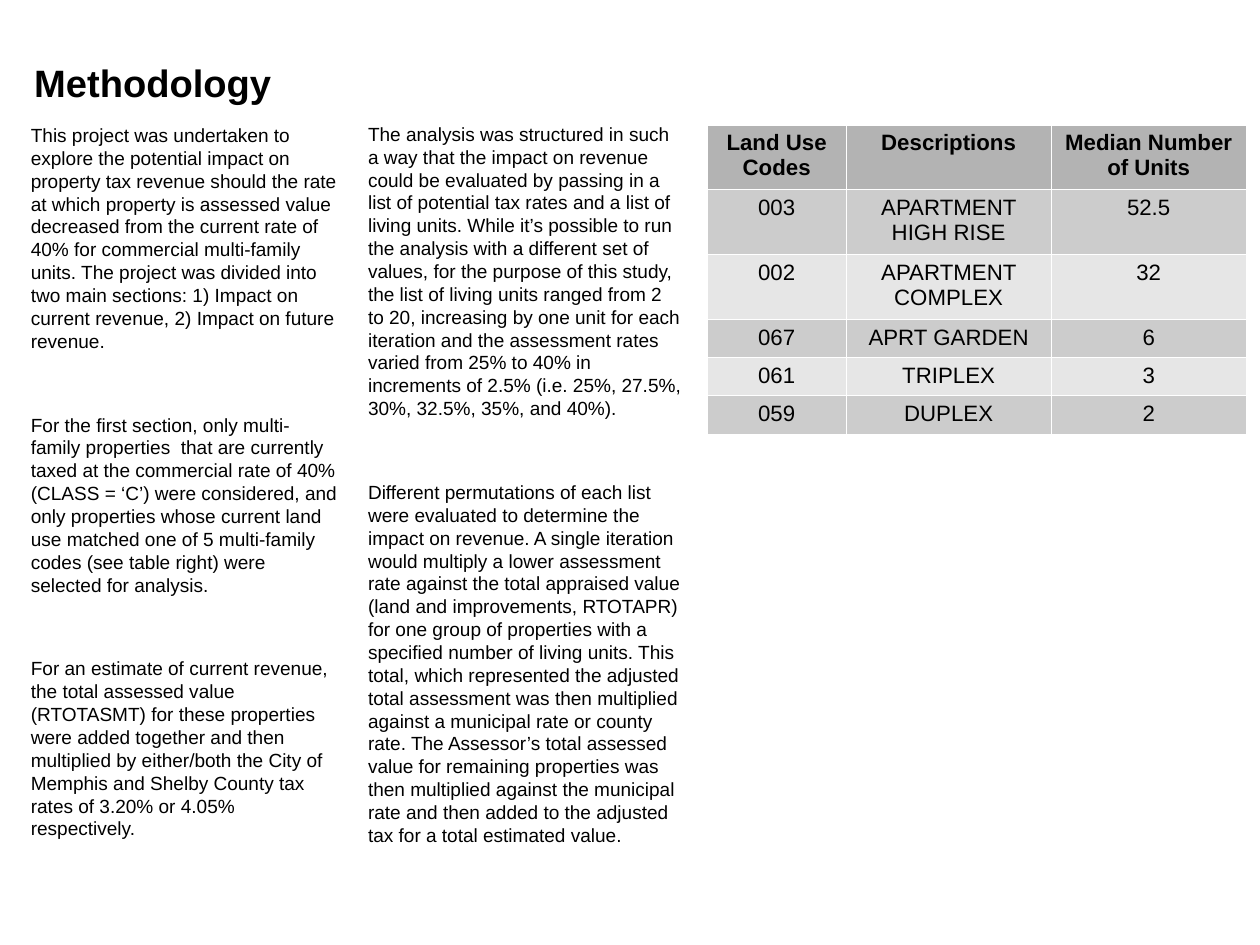
from lxml.etree import SubElement
from pptx import Presentation
from pptx.dml.color import RGBColor
from pptx.enum.text import MSO_ANCHOR, PP_ALIGN
from pptx.oxml.ns import qn
from pptx.util import Cm, Inches, Pt

THEME = {
    "font": "Arial", "text": "000000", "border": "FFFFFF",
    "header": "B3B3B3", "bands": ("CCCCCC", "E6E6E6"),
    "title_size": 24, "body_size": 12, "table_size": 14,
    "line_pitch": 14.4, "paragraph_gap": 38.4, "border_width": 0.06,
}

SLIDE_SIZE = (Cm(28), Cm(21))

TITLE = "Methodology"
TITLE_BOX = (0.3, 0.47, 2.13, 0.5)

COLUMNS = [
    ((0.27, 1.08, 2.7, 5.79), [
        "This project was undertaken to explore the potential impact on property tax revenue "
        "should the rate at which property is assessed value decreased from the current rate of "
        "40% for commercial multi-family units. The project was divided into two main sections: "
        "1) Impact on current revenue, 2) Impact on future revenue.",
        "For the first section, only multi-family properties  that are currently taxed at the "
        "commercial rate of 40% (CLASS = ‘C’) were considered, and only properties whose current "
        "land use matched one of 5 multi-family codes (see table right) were selected for analysis.",
        "For an estimate of current revenue, the total assessed value (RTOTASMT) for these "
        "properties were added together and then multiplied by either/both the City of Memphis "
        "and Shelby County tax rates of 3.20% or 4.05% respectively.",
    ]),
    ((3.22, 1.07, 2.75, 5.79), [
        "The analysis was structured in such a way that the impact on revenue could be evaluated "
        "by passing in a list of potential tax rates and a list of living units. While it’s "
        "possible to run the analysis with a different set of values, for the purpose of this "
        "study, the list of living units ranged from 2 to 20, increasing by one unit for each "
        "iteration and the assessment rates varied from 25% to 40% in increments of 2.5% "
        "(i.e. 25%, 27.5%, 30%, 32.5%, 35%, and 40%).",
        "Different permutations of each list were evaluated to determine the impact on revenue. "
        "A single iteration would multiply a lower assessment rate against the total appraised "
        "value (land and improvements, RTOTAPR) for one group of properties with a specified "
        "number of living units. This total, which represented the adjusted total assessment was "
        "then multiplied against a municipal rate or county rate. The Assessor’s total assessed "
        "value for remaining properties was then multiplied against the municipal rate and then "
        "added to the adjusted tax for a total estimated value.",
    ]),
]

LAND_USE = [
    ("Land Use Codes", "Descriptions", "Median Number of Units"),
    ("003", "APARTMENT HIGH RISE", "52.5"),
    ("002", "APARTMENT COMPLEX", "32"),
    ("067", "APRT GARDEN", "6"),
    ("061", "TRIPLEX", "3"),
    ("059", "DUPLEX", "2"),
]
TABLE_AT = (6.19, 1.09)
COL_WIDTHS = (1.21, 1.8, 1.7)
ROW_HEIGHTS = (0.52,) * 3 + (0.31,) * 3


def write(p, text, size, bold=False, **paragraph_format):
    for name, value in paragraph_format.items():
        setattr(p, name, value)
    r = p.add_run()
    r.text = text
    for name, value in {"name": THEME["font"], "size": Pt(size), "bold": bold}.items():
        setattr(r.font, name, value)
    r.font.color.rgb = RGBColor.from_string(THEME["text"])


def add_text(s, box, texts, size, anchor=MSO_ANCHOR.TOP, bold=False, **paragraph_format):
    tf = s.shapes.add_textbox(*map(Inches, box)).text_frame
    frame_format = {"word_wrap": True, "vertical_anchor": anchor, "margin_left": 0,
                    "margin_top": 0, "margin_right": 0, "margin_bottom": 0}
    for name, value in frame_format.items():
        setattr(tf, name, value)
    for i, text in enumerate(texts):
        p = tf.add_paragraph() if i else tf.paragraphs[0]
        write(p, text, size, bold, **paragraph_format)


def add_borders(cell):
    tc_pr = cell._tc.get_or_add_tcPr()
    for side in ("a:lnL", "a:lnR", "a:lnT", "a:lnB"):
        ln = SubElement(tc_pr, qn(side), w=str(Pt(THEME["border_width"])))
        fill = SubElement(ln, qn("a:solidFill"))
        SubElement(fill, qn("a:srgbClr"), val=THEME["border"])


def add_land_use_table(s):
    size = (sum(COL_WIDTHS), sum(ROW_HEIGHTS))
    table = s.shapes.add_table(len(LAND_USE), len(COL_WIDTHS),
                               *map(Inches, TABLE_AT + size)).table
    for column, width in zip(table.columns, COL_WIDTHS):
        column.width = Inches(width)
    for i, (row, height, values) in enumerate(zip(table.rows, ROW_HEIGHTS, LAND_USE)):
        row.height = Inches(height)
        color = THEME["bands"][(i - 1) % 2] if i else THEME["header"]
        for cell, value in zip(row.cells, values):
            add_borders(cell)
            cell.fill.solid()
            cell.fill.fore_color.rgb = RGBColor.from_string(color)
            write(cell.text_frame.paragraphs[0], value, THEME["table_size"],
                  bold=i == 0, alignment=PP_ALIGN.CENTER)


def main():
    prs = Presentation()
    prs.slide_width, prs.slide_height = SLIDE_SIZE
    s = prs.slides.add_slide(prs.slide_layouts[6])
    add_text(s, TITLE_BOX, [TITLE], THEME["title_size"], MSO_ANCHOR.MIDDLE, bold=True)
    for box, texts in COLUMNS:
        add_text(s, box, texts, THEME["body_size"], line_spacing=Pt(THEME["line_pitch"]),
                 space_after=Pt(THEME["paragraph_gap"]))
    add_land_use_table(s)
    prs.save("out.pptx")


if __name__ == "__main__":
    main()
